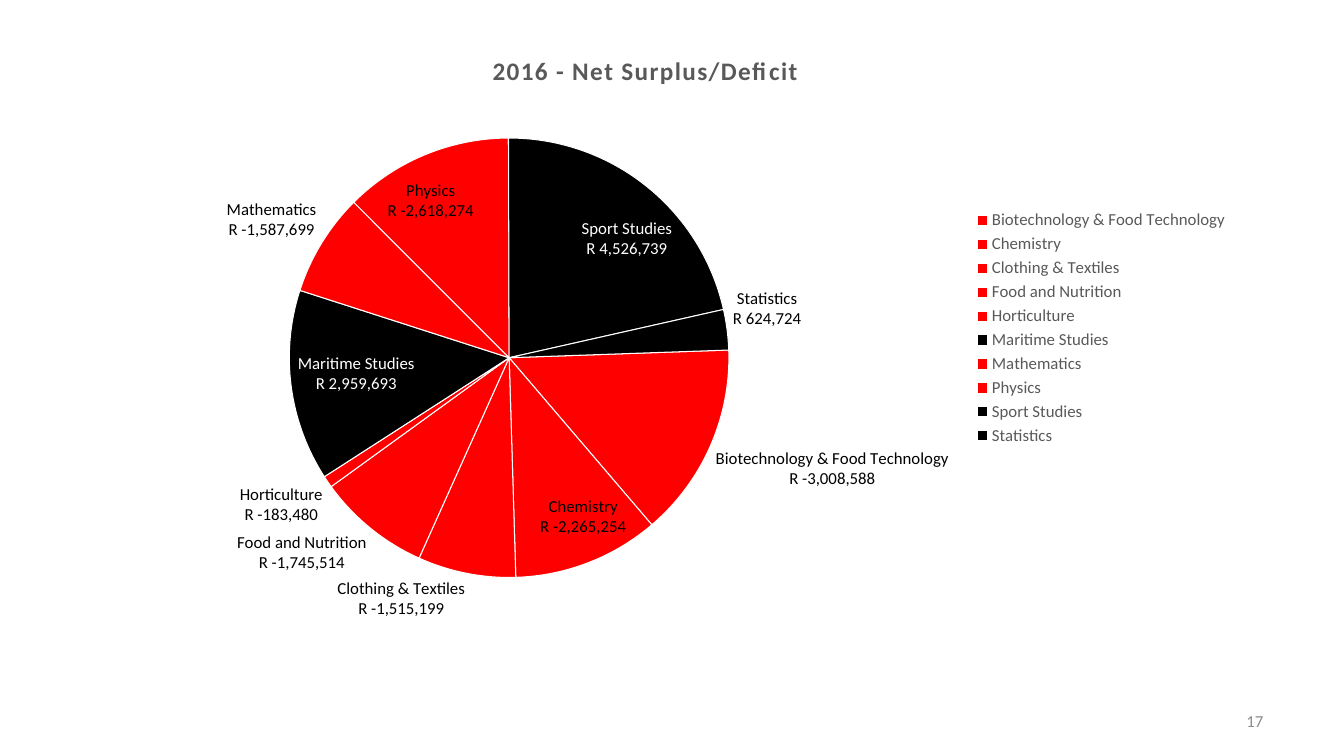
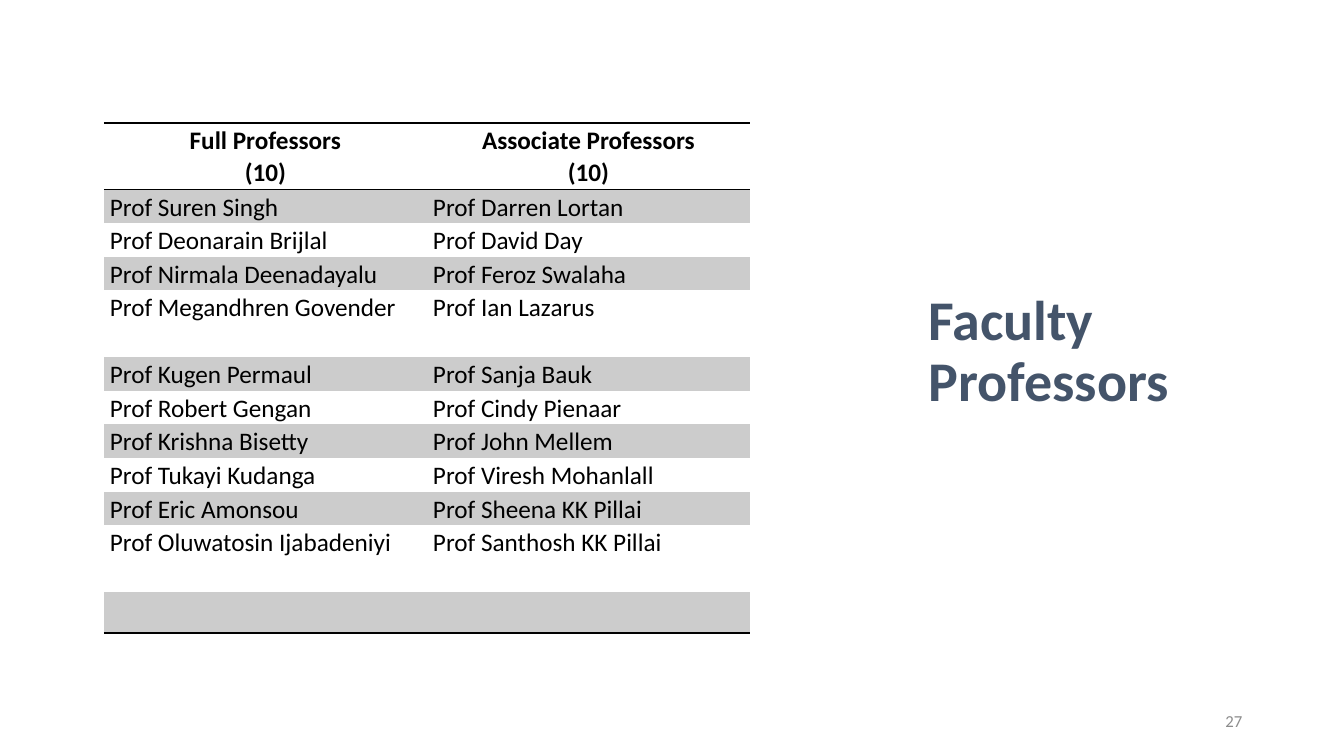
from copy import deepcopy
from dataclasses import dataclass
from typing import NamedTuple

from lxml.etree import SubElement
from pptx import Presentation
from pptx.chart.chart import Chart
from pptx.chart.data import CategoryChartData
from pptx.dml.color import RGBColor
from pptx.enum.chart import XL_CHART_TYPE, XL_LABEL_POSITION, XL_LEGEND_POSITION
from pptx.enum.text import MSO_ANCHOR, PP_ALIGN
from pptx.oxml import parse_xml
from pptx.oxml.ns import nsdecls, qn
from pptx.slide import Slide
from pptx.table import _Cell
from pptx.text.text import Font, TextFrame
from pptx.util import Inches, Pt


@dataclass(frozen=True)
class Theme:
    font: str = "Calibri"
    black: str = "000000"
    white: str = "FFFFFF"
    deficit: str = "FF0000"
    band: str = "CCCCCC"
    heading: str = "44546A"
    chart_text: str = "595959"
    number: str = "8C8C8C"
    heading_size: int = 40
    body_size: int = 18
    small_size: int = 12


class Area(NamedTuple):
    left: float
    top: float
    width: float
    height: float


class Department(NamedTuple):
    name: str
    balance: int


class ProfessorRow(NamedTuple):
    full: str
    associate: str
    height: float = 0.334


THEME = Theme()
PLAIN_TABLE_STYLE = "{2D5ABB26-0587-4C30-8999-92F81FD0307C}"
RAND_FORMAT = '"R "#,##0;"R "-#,##0'
CHART_AREA = Area(0.36, 0.21, 11.93, 6.09)
PIE_AREA = Area(2.87, 1.37, 4.36, 4.36)
CHART_TITLE_AREA = Area(4.84, 0.48, 3, 0.3)
TABLE_AREA = Area(1.03, 1.22, 6.41, 5.05)
HEADING_AREA = Area(9.11, 1.22, 3.72, 2.93)
TALL_ROW = 0.66

DEPARTMENTS = [
    Department("Biotechnology & Food Technology", -3008588),
    Department("Chemistry", -2265254),
    Department("Clothing & Textiles", -1515199),
    Department("Food and Nutrition", -1745514),
    Department("Horticulture", -183480),
    Department("Maritime Studies", 2959693),
    Department("Mathematics", -1587699),
    Department("Physics", -2618274),
    Department("Sport Studies", 4526739),
    Department("Statistics", 624724),
]
WHITE_LABELS = ("Maritime Studies", "Sport Studies")

PROFESSORS = [
    ProfessorRow("Full Professors\n(10)", "Associate Professors\n(10)", TALL_ROW),
    ProfessorRow("Prof Suren Singh", "Prof Darren Lortan"),
    ProfessorRow("Prof Deonarain Brijlal", "Prof David Day"),
    ProfessorRow("Prof Nirmala Deenadayalu", "Prof Feroz Swalaha"),
    ProfessorRow("Prof Megandhren Govender", "Prof Ian Lazarus", TALL_ROW),
    ProfessorRow("Prof Kugen Permaul", "Prof Sanja Bauk"),
    ProfessorRow("Prof Robert Gengan", "Prof Cindy Pienaar"),
    ProfessorRow("Prof Krishna Bisetty", "Prof John Mellem"),
    ProfessorRow("Prof Tukayi Kudanga", "Prof Viresh Mohanlall"),
    ProfessorRow("Prof Eric Amonsou", "Prof Sheena KK Pillai"),
    ProfessorRow("Prof Oluwatosin Ijabadeniyi", "Prof Santhosh KK Pillai", TALL_ROW),
    ProfessorRow("", "", 0.41),
]


def style_font(font: Font, size: int, color: str, bold: bool = False) -> None:
    font.name = THEME.font
    font.size = Pt(size)
    font.bold = bold
    font.color.rgb = RGBColor.from_string(color)


def write_text(
    frame: TextFrame,
    text: str,
    *,
    size: int = THEME.body_size,
    color: str = THEME.black,
    bold: bool = False,
    align: PP_ALIGN = PP_ALIGN.LEFT,
    spacing: float = 1.0,
) -> None:
    frame.text = text
    for para in frame.paragraphs:
        para.alignment = align
        para.line_spacing = spacing
        para.space_before = Pt(0)
        style_font(para.font, size, color, bold)
        for span in para.runs:
            style_font(span.font, size, color, bold)


def add_page_number(page: Slide, number: str, left: float) -> None:
    box = page.shapes.add_textbox(Inches(left), Inches(6.95), Inches(3), Inches(0.4))
    box.text_frame.word_wrap = True
    box.text_frame.vertical_anchor = MSO_ANCHOR.MIDDLE
    write_text(box.text_frame, number, size=THEME.small_size, color=THEME.number, align=PP_ALIGN.RIGHT)


def add_heading(page: Slide, text: str, area: Area) -> None:
    title = page.shapes.title
    title.left, title.top, title.width, title.height = map(Inches, area)
    frame = title.text_frame
    frame.word_wrap = True
    frame.vertical_anchor = MSO_ANCHOR.BOTTOM
    write_text(frame, text, size=THEME.heading_size, color=THEME.heading, bold=True, spacing=0.9)


def place_chart_part(part, position: int, area: Area, sized: bool) -> None:
    for old in part.findall(qn("c:layout")):
        part.remove(old)
    layout = parse_xml(f"<c:layout {nsdecls('c')}/>")
    manual = SubElement(layout, qn("c:manualLayout"))
    settings = {"xMode": "edge", "yMode": "edge"}
    settings["x"] = (area.left - CHART_AREA.left) / CHART_AREA.width
    settings["y"] = (area.top - CHART_AREA.top) / CHART_AREA.height
    if sized:
        SubElement(manual, qn("c:layoutTarget")).set("val", "inner")
        settings["w"] = area.width / CHART_AREA.width
        settings["h"] = area.height / CHART_AREA.height
    for tag, value in settings.items():
        SubElement(manual, qn(f"c:{tag}")).set("val", str(value))
    part.insert(position, layout)


def format_title(chart: Chart, text: str) -> None:
    chart.has_title = True
    title = chart.chart_title
    write_text(title.text_frame, text, color=THEME.chart_text, bold=True, align=PP_ALIGN.CENTER)
    for span in title.text_frame.paragraphs[0].runs:
        span.font._element.set("spc", "100")
    place_chart_part(title._element, 1, CHART_TITLE_AREA, sized=False)


def format_labels(chart: Chart) -> None:
    series = chart.plots[0].series[0]
    labels = series.data_labels
    labels.show_value = True
    labels.show_category_name = True
    labels.number_format = RAND_FORMAT
    labels.number_format_is_linked = False
    labels.position = XL_LABEL_POSITION.BEST_FIT
    style_font(labels.font, THEME.small_size, THEME.black)
    root = labels._element
    separator = parse_xml(f"<c:separator {nsdecls('c')}>\n</c:separator>")
    root.find(qn("c:showBubbleSize")).addnext(separator)
    for leader in root.findall(qn("c:showLeaderLines")):
        leader.set("val", "0")
    shared = [child for child in root if child.tag != qn("c:showLeaderLines")]
    chosen = [i for i, item in enumerate(DEPARTMENTS) if item.name in WHITE_LABELS]
    for position, index in enumerate(chosen):
        label = parse_xml(f'<c:dLbl {nsdecls("c")}><c:idx val="{index}"/></c:dLbl>')
        label.extend(deepcopy(child) for child in shared)
        root.insert(position, label)
        style_font(series.points[index].data_label.font, THEME.small_size, THEME.white)


def add_balance_chart(page: Slide) -> None:
    data = CategoryChartData(number_format=RAND_FORMAT)
    data.categories = [item.name for item in DEPARTMENTS]
    data.add_series("Series 1", [item.balance for item in DEPARTMENTS])
    chart = page.shapes.add_chart(XL_CHART_TYPE.PIE, *map(Inches, CHART_AREA), data).chart
    style_font(chart.font, THEME.small_size, THEME.black)
    format_title(chart, "2016 - Net Surplus/Deficit")
    chart.has_legend = True
    chart.legend.position = XL_LEGEND_POSITION.RIGHT
    chart.legend.include_in_layout = False
    style_font(chart.legend.font, THEME.small_size, THEME.chart_text)

    plot = chart.plots[0]
    plot.vary_by_categories = True
    pie = plot._element
    for old in pie.findall(qn("c:firstSliceAng")):
        pie.remove(old)
    SubElement(pie, qn("c:firstSliceAng")).set("val", "88")
    for index, item in enumerate(DEPARTMENTS):
        point_format = plot.series[0].points[index].format
        point_format.fill.solid()
        color = THEME.deficit if item.balance < 0 else THEME.black
        point_format.fill.fore_color.rgb = RGBColor.from_string(color)
        point_format.line.color.rgb = RGBColor.from_string(THEME.white)
        point_format.line.width = Pt(0.75)
    format_labels(chart)
    place_chart_part(pie.getparent(), 0, PIE_AREA, sized=True)


def add_border(cell: _Cell, side: str) -> None:
    line = parse_xml(
        f'<a:{side} {nsdecls("a")} w="12700"><a:solidFill>'
        f'<a:srgbClr val="{THEME.black}"/></a:solidFill></a:{side}>'
    )
    properties = cell._tc.get_or_add_tcPr()
    properties.insert(len(properties.findall(qn("a:lnT"))), line)


def format_cell(cell: _Cell, text: str, row_index: int) -> None:
    header = row_index == 0
    cell.margin_left = cell.margin_right = Inches(0.06)
    cell.margin_top, cell.margin_bottom = Inches(0.01), Inches(0)
    align = PP_ALIGN.CENTER if header else PP_ALIGN.LEFT
    write_text(cell.text_frame, text, bold=header, align=align, spacing=1.05)
    if row_index % 2:
        cell.fill.solid()
        cell.fill.fore_color.rgb = RGBColor.from_string(THEME.band)
    else:
        cell.fill.background()
    if header:
        add_border(cell, "lnT")
    if row_index in (0, len(PROFESSORS) - 1):
        add_border(cell, "lnB")


def add_professor_table(page: Slide) -> None:
    table = page.shapes.add_table(len(PROFESSORS), 2, *map(Inches, TABLE_AREA)).table
    table.first_row = table.horz_banding = False
    table._tbl.tblPr.find(qn("a:tableStyleId")).text = PLAIN_TABLE_STYLE
    for column in table.columns:
        column.width = Inches(TABLE_AREA.width / 2)
    for row_index, entry in enumerate(PROFESSORS):
        table.rows[row_index].height = Inches(entry.height)
        for column_index, text in enumerate((entry.full, entry.associate)):
            format_cell(table.cell(row_index, column_index), text, row_index)


def main() -> None:
    deck = Presentation()
    deck.slide_width, deck.slide_height = Inches(13.33), Inches(7.5)

    balance_page = deck.slides.add_slide(deck.slide_layouts[6])
    add_page_number(balance_page, "17", 9.63)
    add_balance_chart(balance_page)

    professor_page = deck.slides.add_slide(deck.slide_layouts[5])
    add_heading(professor_page, "Faculty Professors", HEADING_AREA)
    add_page_number(professor_page, "27", 9.42)
    add_professor_table(professor_page)

    deck.save("out.pptx")


if __name__ == "__main__":
    main()
